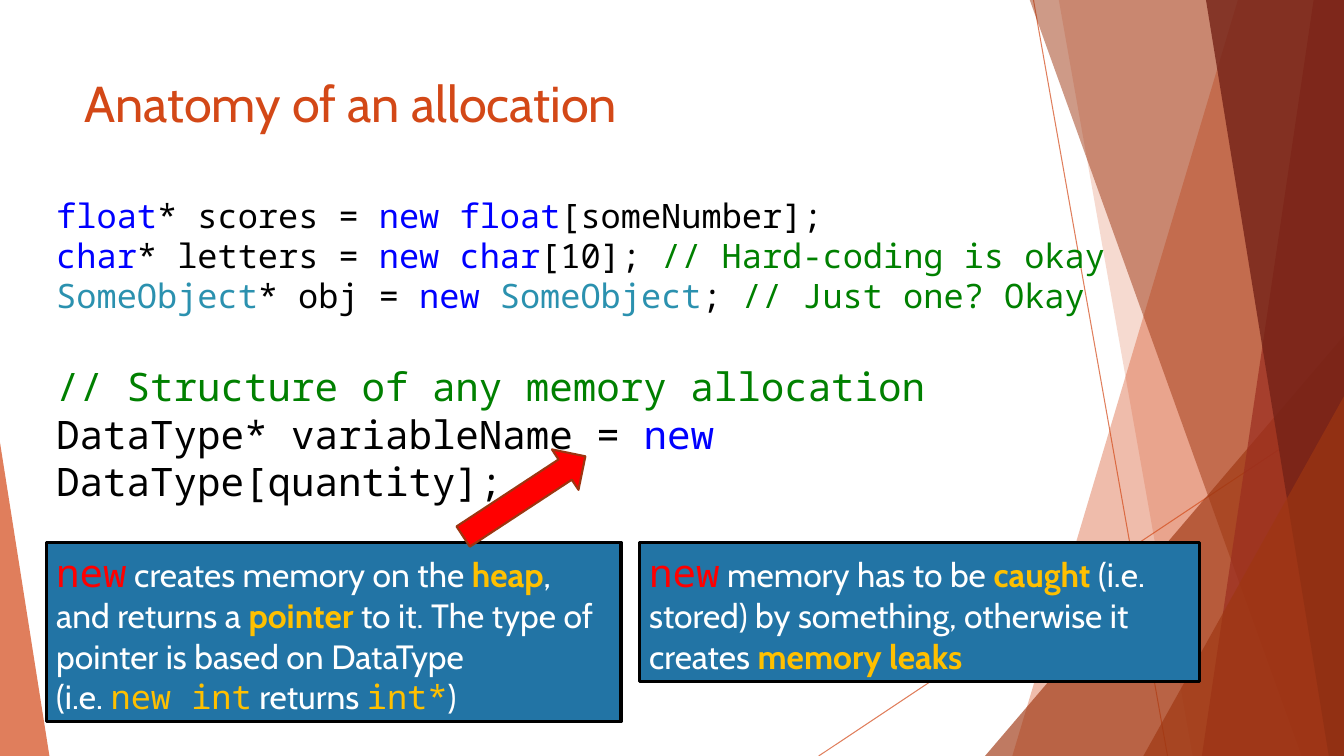
from pptx import Presentation
from pptx.dml.color import RGBColor
from pptx.enum.shapes import MSO_CONNECTOR, MSO_SHAPE
from pptx.enum.text import MSO_ANCHOR, MSO_AUTO_SIZE, PP_ALIGN
from pptx.oxml.ns import qn
from pptx.util import Inches, Pt
from lxml.etree import SubElement

COLORS = {
    "orange": "D34817", "rust": "9E3611", "brick": "9B2D1F", "maroon": "742217",
    "black": "000000", "white": "FFFFFF", "keyword": "0000FF", "type": "2B91AF",
    "comment": "008000", "panel": "2274A5", "gold": "FFC000", "red": "FF0000",
    "arrow edge": "9C3511",
}
WIDTH, HEIGHT = 13.33, 7.5
SANS, MONO = "Cabin", "Noto Sans Mono"
BREAK = ("\n", None)

STYLES = {
    "title": (SANS, 36, "orange", False),
    "body": (SANS, 24, "white", False),
    "strong": (SANS, 24, "gold", True),
    "inline code": (MONO, 24, "gold", False),
    "lead": (MONO, 28, "red", False),
}
for name in ("black", "keyword", "type", "comment"):
    STYLES[name] = (MONO, 24, name, False)
    STYLES["large " + name] = (MONO, 28, name, False)

EXAMPLE_CODE = [
    [("float", "keyword"), ("* scores = ", "black"), ("new float", "keyword"),
     ("[someNumber];", "black")],
    [("char", "keyword"), ("* letters = ", "black"), ("new char", "keyword"),
     ("[10]; ", "black"), ("// Hard-coding is okay", "comment")],
    [("SomeObject", "type"), ("* obj = ", "black"), ("new ", "keyword"),
     ("SomeObject", "type"), ("; ", "black"), ("// Just one? Okay", "comment")],
]
STRUCTURE_CODE = [
    [("// Structure of any memory allocation", "large comment")],
    [("DataType* variableName = ", "large black"), ("new ", "large keyword"),
     ("DataType[quantity];", "large black")],
]
POINTER_NOTE = [[
    ("new", "lead"), (" creates memory on the ", "body"), ("heap", "strong"),
    (", and returns a ", "body"), ("pointer", "strong"),
    (" to it. The type of pointer is based on DataType", "body"), BREAK,
    ("(i.e. ", "body"), ("new int", "inline code"), (" returns ", "body"),
    ("int*", "inline code"), (")", "body"),
]]
LEAK_NOTE = [[
    ("new", "lead"), (" memory has to be ", "body"), ("caught", "strong"),
    (" (i.e. stored) by something, otherwise it creates ", "body"),
    ("memory leaks", "strong"),
]]


def color(name):
    return RGBColor.from_string(COLORS[name])


def set_values(target, values):
    for key, value in values.items():
        setattr(target, key, value)


def set_opacity(shape, percent):
    node = shape._element.spPr.find(".//" + qn("a:srgbClr"))
    SubElement(node, qn("a:alpha"), val=str(percent * 1000))


def paint(shape, fill, line=None, line_width=0):
    shape.shadow.inherit = False
    shape.fill.solid()
    shape.fill.fore_color.rgb = color(fill)
    if line:
        shape.line.color.rgb = color(line)
        shape.line.width = Pt(line_width)
    else:
        shape.line.fill.background()


def add_ray(page, start, end):
    ray = page.shapes.add_connector(
        MSO_CONNECTOR.STRAIGHT, *[Inches(value) for value in start + end])
    ray.line.color.rgb = color("orange")
    ray.line.width = Pt(0.75)
    set_opacity(ray, 70)
    SubElement(ray._element.spPr, qn("a:effectLst"))


def add_band(page, top_x, bottom_x, fill, opacity):
    corners = [(top_x, -0.01), (WIDTH, -0.01), (WIDTH, HEIGHT), (bottom_x, HEIGHT)]
    points = [(Inches(x), Inches(y)) for x, y in corners]
    builder = page.shapes.build_freeform(*points[0])
    builder.add_line_segments(points[1:], close=True)
    band = builder.convert_to_shape()
    paint(band, fill)
    set_opacity(band, opacity)


def add_preset(page, preset, place):
    return page.shapes.add_shape(preset, *[Inches(value) for value in place])


def add_triangle(page, left, top, width, apex, fill, opacity):
    triangle = add_preset(page, MSO_SHAPE.ISOSCELES_TRIANGLE,
                          (left, top, width, HEIGHT - top))
    triangle.adjustments[0] = apex
    paint(triangle, fill)
    set_opacity(triangle, opacity)


def write(box, lines, anchor, auto_size):
    frame = box.text_frame
    set_values(frame, {"word_wrap": True, "vertical_anchor": anchor,
                       "auto_size": auto_size})
    for index, line in enumerate(lines):
        para = frame.add_paragraph() if index else frame.paragraphs[0]
        para.alignment = PP_ALIGN.LEFT
        for text, style in line:
            if style is None:
                para.add_line_break()
                continue
            font, size, shade, bold = STYLES[style]
            span = para.add_run()
            span.text = text
            set_values(span.font, {"name": font, "size": Pt(size), "bold": bold})
            span.font.color.rgb = color(shade)


def add_text(page, place, lines, auto_size=MSO_AUTO_SIZE.SHAPE_TO_FIT_TEXT):
    box = page.shapes.add_textbox(*[Inches(value) for value in place])
    write(box, lines, MSO_ANCHOR.TOP, auto_size)


def add_note(page, place, lines):
    box = add_preset(page, MSO_SHAPE.RECTANGLE, place)
    paint(box, "panel", "black", 2.25)
    write(box, lines, MSO_ANCHOR.MIDDLE, MSO_AUTO_SIZE.SHAPE_TO_FIT_TEXT)


def add_arrow(page):
    arrow = add_preset(page, MSO_SHAPE.UP_ARROW, (4.96, 4.2, 0.48, 1.45))
    arrow.rotation = 56.7
    paint(arrow, "red", "arrow edge", 1.5)


def add_facets(page):
    add_ray(page, (10.25, 0), (11.58, HEIGHT))
    add_ray(page, (WIDTH, 4.03), (8.12, HEIGHT))
    add_band(page, 12.28, 10.04, "orange", 36)
    add_band(page, 10.5, 11.83, "orange", 20)
    add_triangle(page, 9.77, 3.33, 3.56, 1, "rust", 66)
    add_band(page, 10.21, 12.91, "rust", 50)
    add_band(page, 13.03, 11.92, "brick", 70)
    add_band(page, 11.96, 13.18, "maroon", 80)
    add_triangle(page, 11.34, 3.93, 1.99, 1, "rust", 66)
    add_triangle(page, 0, 4.39, 0.49, 0, "orange", 70)


def main():
    deck = Presentation()
    set_values(deck, {"slide_width": Inches(WIDTH), "slide_height": Inches(HEIGHT)})
    page = deck.slides.add_slide(deck.slide_layouts[6])
    add_facets(page)
    add_text(page, (0.74, 0.67, 9.4, 0.84),
             [[("Anatomy of an allocation", "title")]], MSO_AUTO_SIZE.NONE)
    add_text(page, (0.46, 1.88, 11.26, 1.31), EXAMPLE_CODE)
    add_text(page, (0.46, 3.55, 11.26, 1.04), STRUCTURE_CODE)
    add_note(page, (0.46, 5.38, 5.7, 1.78), POINTER_NOTE)
    add_arrow(page)
    add_note(page, (6.34, 5.38, 5.56, 1.38), LEAK_NOTE)
    deck.save("out.pptx")


if __name__ == "__main__":
    main()
